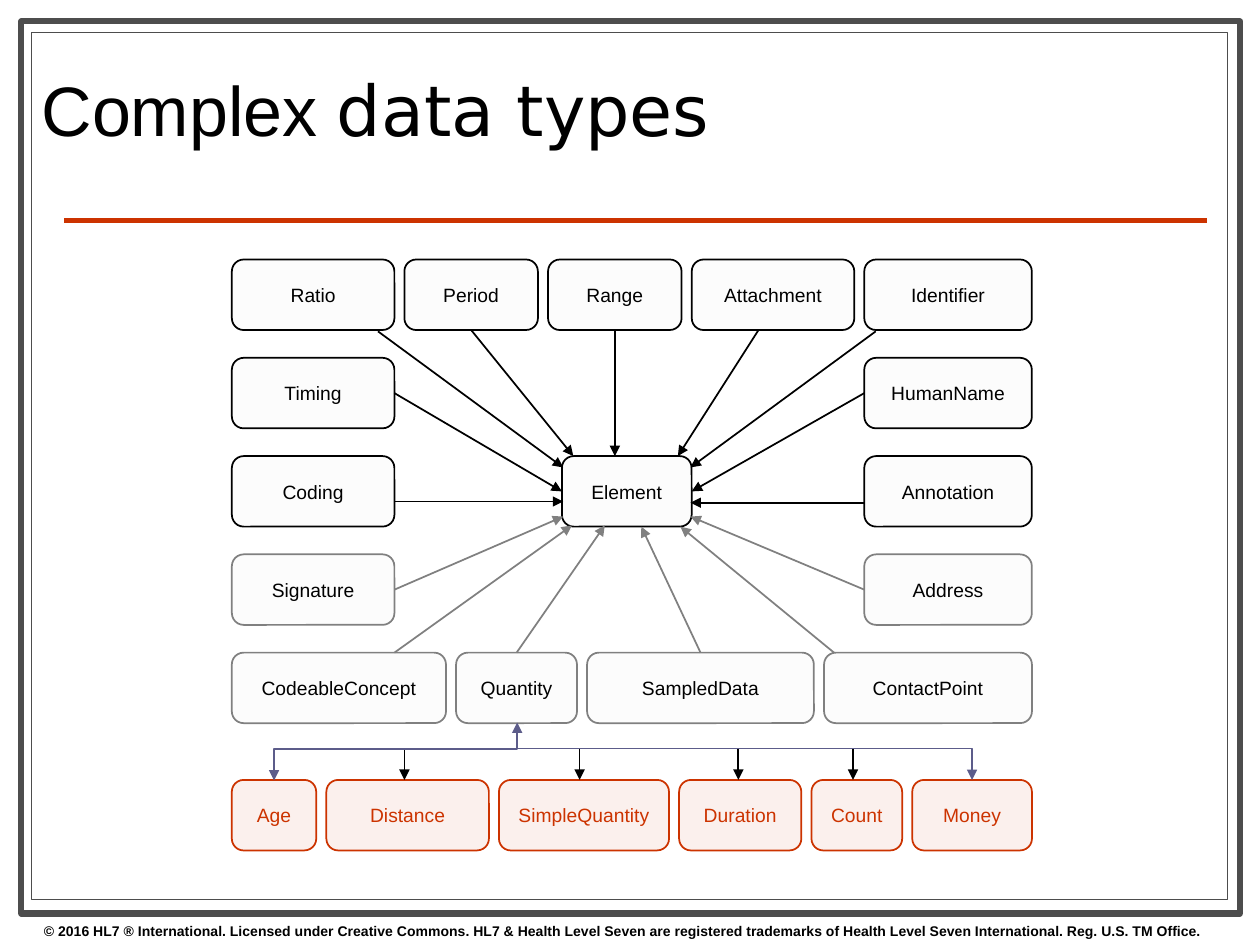
from dataclasses import dataclass
from typing import Optional

from lxml.etree import SubElement
from pptx import Presentation
from pptx.dml.color import RGBColor
from pptx.enum.shapes import MSO_CONNECTOR, MSO_SHAPE
from pptx.enum.text import MSO_ANCHOR, PP_ALIGN
from pptx.oxml.ns import qn
from pptx.util import Inches, Pt

BLACK, GRAY, FRAME, WHITE = "000000", "808080", "4D4D4D", "FFFFFF"
RED, PURPLE, PALE = "CC3300", "5C5C8A", "D9D9D9"
TOP, LEFT, BOTTOM, RIGHT = range(4)
GRID_LEFT, GRID_TOP, ROW_STEP, GAP = 1.84, 2.06, 0.78, 0.08
BOX_HEIGHT, LEFT_WIDTH, RIGHT_WIDTH, GRID_WIDTH = 0.56, 1.29, 1.33, 6.35
DERIVED_TOP, BUS_TOP = 6.19, 5.94


@dataclass
class TypeRow:
    top: float
    names: list[str]
    widths: list[float]
    line: str = BLACK
    fill: str = PALE
    font: str = BLACK
    gap: float = GAP


@dataclass
class Arrow:
    start: tuple[float, float]
    end: tuple[float, float]
    color: str = BLACK
    source: Optional[str] = None
    source_side: int = BOTTOM
    target_side: Optional[int] = None


def row_top(row: int) -> float:
    return GRID_TOP + row * ROW_STEP


def side_row(row: int, left: str, right: str, line: str = BLACK) -> TypeRow:
    gap = GRID_WIDTH - LEFT_WIDTH - RIGHT_WIDTH
    return TypeRow(row_top(row), [left, right], [LEFT_WIDTH, RIGHT_WIDTH], line, gap=gap)


ROWS = [
    TypeRow(row_top(0), ["Ratio", "Period", "Range", "Attachment", "Identifier"],
            [LEFT_WIDTH, 1.06, 1.06, 1.29, RIGHT_WIDTH]),
    side_row(1, "Timing", "HumanName"),
    side_row(2, "Coding", "Annotation"),
    side_row(3, "Signature", "Address", GRAY),
    TypeRow(row_top(4), ["CodeableConcept", "Quantity", "SampledData", "ContactPoint"],
            [1.7, 0.96, 1.8, 1.65], GRAY),
    TypeRow(DERIVED_TOP, ["Age", "Distance", "SimpleQuantity", "Duration", "Count", "Money"],
            [0.67, 1.29, 1.35, 0.97, 0.72, 0.95], RED, RED, RED),
]

ARROWS = [
    Arrow((3, 2.63), (4.47, 3.71)),
    Arrow((3.74, 2.62), (4.55, 3.62), source="Period"),
    Arrow((4.88, 2.62), (4.88, 3.62), source="Range"),
    Arrow((6.02, 2.62), (5.38, 3.62)),
    Arrow((6.95, 2.63), (5.48, 3.71)),
    Arrow((3.13, 3.12), (4.46, 3.9), source="Timing", source_side=RIGHT, target_side=LEFT),
    Arrow((6.86, 3.12), (5.49, 3.9), source="HumanName", source_side=LEFT, target_side=RIGHT),
    Arrow((3.13, 3.98), (4.47, 3.98)),
    Arrow((6.86, 3.99), (5.48, 3.99)),
    Arrow((3.13, 4.68), (4.47, 4.1), GRAY, "Signature", RIGHT),
    Arrow((6.86, 4.68), (5.48, 4.1), GRAY, "Address", LEFT),
    Arrow((3.13, 5.18), (4.54, 4.17), GRAY),
    Arrow((4.1, 5.18), (4.8, 4.17), GRAY, "Quantity", TOP),
    Arrow((5.56, 5.18), (5.09, 4.18), GRAY, "SampledData", TOP),
    Arrow((6.62, 5.18), (5.4, 4.18), GRAY),
] + [Arrow((x, BUS_TOP), (x, DERIVED_TOP)) for x in (3.21, 4.6, 5.86, 6.77)]


def rgb(color: str) -> RGBColor:
    return RGBColor.from_string(color)


def add_box(page, kind, left, top, width, height, fill, line, weight):
    box = page.shapes.add_shape(kind, Inches(left), Inches(top), Inches(width), Inches(height))
    box.shadow.inherit = False
    box.fill.solid()
    box.fill.fore_color.rgb = rgb(fill)
    box.line.color.rgb = rgb(line)
    box.line.width = Pt(weight)
    return box


def style_span(span, size: float, color: str = BLACK, name: str = "Arial") -> None:
    span.font.size = Pt(size)
    span.font.name = name
    span.font.color.rgb = rgb(color)


def add_type_box(page, name: str, left: float, width: float, row: TypeRow):
    box = add_box(page, MSO_SHAPE.ROUNDED_RECTANGLE, left, row.top, width, BOX_HEIGHT,
                  row.fill, row.line, 1)
    color = box.fill._xPr.find(qn("a:solidFill"))[0]
    SubElement(color, qn("a:alpha"), val="7000")
    frame = box.text_frame
    frame.text = name
    frame.vertical_anchor = MSO_ANCHOR.MIDDLE
    para = frame.paragraphs[0]
    para.alignment = PP_ALIGN.CENTER
    style_span(para.runs[0], 11, row.font)
    return box


def add_type_row(page, row: TypeRow) -> dict:
    boxes, left = {}, GRID_LEFT
    for name, width in zip(row.names, row.widths):
        boxes[name] = add_type_box(page, name, left, width, row)
        left += width + row.gap
    return boxes


def add_line(page, start, end, color, weight=1.0, heads=(), kind=MSO_CONNECTOR.STRAIGHT):
    line = page.shapes.add_connector(kind, *(Inches(value) for value in (*start, *end)))
    line.line.color.rgb = rgb(color)
    line.line.width = Pt(weight)
    for head in heads:
        SubElement(line.line._get_or_add_ln(), qn(head), type="triangle")
    SubElement(line._element.spPr, qn("a:effectLst"))
    return line


def add_arrow(page, arrow: Arrow, boxes: dict) -> None:
    line = add_line(page, arrow.start, arrow.end, arrow.color, heads=["a:tailEnd"])
    if arrow.source:
        line.begin_connect(boxes[arrow.source], arrow.source_side)
    if arrow.target_side is not None:
        line.end_connect(boxes["Element"], arrow.target_side)


def add_derivation_bus(page, boxes: dict) -> None:
    trunk = add_line(page, (2.17, DERIVED_TOP), (4.1, 5.73), PURPLE,
                     heads=["a:headEnd", "a:tailEnd"], kind=MSO_CONNECTOR.ELBOW)
    trunk.begin_connect(boxes["Age"], TOP)
    trunk.end_connect(boxes["Quantity"], BOTTOM)
    trunk.left, trunk.top = Inches(2.91), Inches(5)
    trunk.width, trunk.height = Inches(0.46), Inches(1.93)
    frame = trunk._element.spPr.find(qn("a:xfrm"))
    for key, value in (("rot", "5400000"), ("flipH", "1"), ("flipV", "1")):
        frame.set(key, value)
    guides = trunk._element.spPr.find(qn("a:prstGeom")).find(qn("a:avLst"))
    SubElement(guides, qn("a:gd"), name="adj1", fmla="val 54200")

    branch = add_line(page, (4.1, BUS_TOP), (7.71, DERIVED_TOP), PURPLE,
                      heads=["a:tailEnd"], kind=MSO_CONNECTOR.ELBOW)
    branch.end_connect(boxes["Money"], TOP)
    branch._element.spPr.find(qn("a:prstGeom")).set("prst", "bentConnector2")


def add_text(page, left, top, width, height):
    box = page.shapes.add_textbox(Inches(left), Inches(top), Inches(width), Inches(height))
    box.text_frame.word_wrap = True
    return box.text_frame


def add_frame(page) -> None:
    add_box(page, MSO_SHAPE.RECTANGLE, 0.17, 0.17, 9.67, 7.08, WHITE, FRAME, 3.5)
    add_box(page, MSO_SHAPE.RECTANGLE, 0.25, 0.26, 9.49, 6.88, WHITE, FRAME, 0.75)
    add_line(page, (0.51, 1.75), (9.58, 1.75), RED, 3)
    footer = add_text(page, 0.25, 7.27, 9.75, 0.23)
    footer.text = ("© 2016 HL7 ® International. Licensed under Creative Commons. "
                   "HL7 & Health Level Seven are registered trademarks of "
                   "Health Level Seven International. Reg. U.S. TM Office.")
    span = footer.paragraphs[0].runs[0]
    style_span(span, 8)
    span.font.bold = True


def add_title(page) -> None:
    title = add_text(page, 0.33, 0.58, 8.95, 0.69)
    title.margin_left = title.margin_right = title.margin_top = title.margin_bottom = 0
    title.vertical_anchor = MSO_ANCHOR.MIDDLE
    para = title.paragraphs[0]
    para.line_spacing = 0.8
    for text, name in (("Complex ", "Arial"), ("data types", "DejaVu Sans")):
        span = para.add_run()
        span.text = text
        style_span(span, 40, name=name)


def main() -> None:
    deck = Presentation()
    deck.slide_width, deck.slide_height = Inches(10), Inches(7.5)
    page = deck.slides.add_slide(deck.slide_layouts[6])
    add_frame(page)
    add_title(page)
    boxes = {}
    for row in ROWS:
        boxes.update(add_type_row(page, row))
    center = TypeRow(row_top(2), ["Element"], [1.03])
    boxes["Element"] = add_type_box(page, "Element", 4.46, 1.03, center)
    for arrow in ARROWS:
        add_arrow(page, arrow, boxes)
    add_derivation_bus(page, boxes)
    deck.save("out.pptx")


if __name__ == "__main__":
    main()
